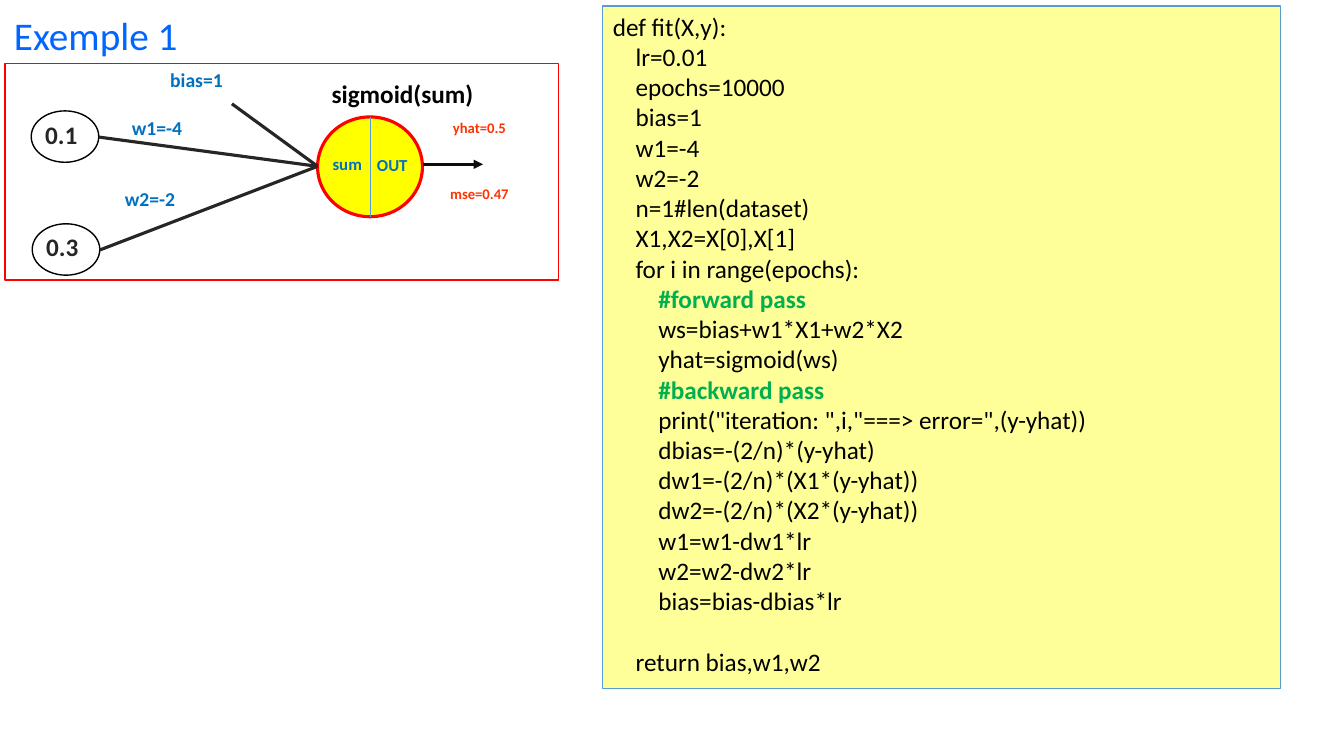
from lxml import etree
from pptx import Presentation
from pptx.dml.color import RGBColor
from pptx.enum import shapes, text
from pptx.oxml import ns
from pptx.util import Inches, Pt

FONT = "Calibri"
BLACK = RGBColor(0x00, 0x00, 0x00)
DARK = RGBColor(0x26, 0x26, 0x26)
ARROW = RGBColor(0x0D, 0x0D, 0x0D)
RED = RGBColor(0xFF, 0x00, 0x00)
ORANGE = RGBColor(0xFF, 0x33, 0x00)
YELLOW = RGBColor(0xFF, 0xFF, 0x00)
PALE_YELLOW = RGBColor(0xFF, 0xFF, 0x99)
TITLE_BLUE = RGBColor(0x00, 0x66, 0xFF)
LABEL_BLUE = RGBColor(0x00, 0x70, 0xC0)
LINE_BLUE = RGBColor(0x5B, 0x9B, 0xD5)
GREEN = RGBColor(0x00, 0xB0, 0x50)

CODE = """def fit(X,y):
    lr=0.01
    epochs=10000
    bias=1
    w1=-4
    w2=-2
    n=1#len(dataset)
    X1,X2=X[0],X[1]
    for i in range(epochs):
        #forward pass
        ws=bias+w1*X1+w2*X2
        yhat=sigmoid(ws)
        #backward pass
        print("iteration: ",i,"===> error=",(y-yhat))
        dbias=-(2/n)*(y-yhat)
        dw1=-(2/n)*(X1*(y-yhat))
        dw2=-(2/n)*(X2*(y-yhat))
        w1=w1-dw1*lr
        w2=w2-dw2*lr
        bias=bias-dbias*lr

    return bias,w1,w2"""


def set_font(font, size, color, bold=False):
    font.name, font.size, font.bold = FONT, Pt(size), bold
    font.color.rgb = color


def add_label(slide, box, words, size, color, bold=True, centered=False):
    tf = slide.shapes.add_textbox(*map(Inches, box)).text_frame
    tf.word_wrap = True
    p = tf.paragraphs[0]
    p.text = words
    p.alignment = text.PP_ALIGN.CENTER if centered else text.PP_ALIGN.LEFT
    set_font(p.font, size, color, bold)


def add_outline(slide, kind, box, color, width, fill=None):
    sp = slide.shapes.add_shape(kind, *map(Inches, box))
    sp.shadow.inherit = False
    if fill is None:
        sp.fill.background()
    else:
        sp.fill.solid()
        sp.fill.fore_color.rgb = fill
    sp.line.color.rgb = color
    sp.line.width = Pt(width)
    return sp


def add_line(slide, start, end, color, width, arrow=False):
    line = slide.shapes.add_connector(
        shapes.MSO_CONNECTOR.STRAIGHT, *map(Inches, (*start, *end)))
    line.line.color.rgb = color
    line.line.width = Pt(width)
    if arrow:
        ln = line.line._get_or_add_ln()
        etree.SubElement(ln, ns.qn("a:tailEnd"), type="triangle")
    etree.SubElement(line._element.spPr, ns.qn("a:effectLst"))


def add_network(slide, left, top, width, height):
    """Framed neuron with its two inputs, bias, weights and outputs."""
    def at(x, y, *size):
        return (left + x, top + y, *size)

    oval = shapes.MSO_SHAPE.OVAL
    hub = at(3.1, 1.02)
    add_outline(slide, oval, at(3.1, 0.53, 1.04, 0.99), RED, 2.25, YELLOW)
    add_line(slide, at(3.62, 0.53), at(3.62, 1.52), LINE_BLUE, 0.5)
    add_line(slide, at(4.15, 1), at(4.74, 1), ARROW, 2.25, arrow=True)
    add_line(slide, at(2.25, 0.4), hub, DARK, 2.25)

    for value, x, y in (("0.1", 0.26, 0.47), ("0.3", 0.27, 1.59)):
        add_outline(slide, oval, at(x, y, 0.67, 0.51), BLACK, 1)
        add_label(slide, at(x + 0.04, y + 0.03, 0.75, 0.4), value, 18, DARK)
        add_line(slide, at(x + 0.67, y + 0.26), hub, DARK, 2.25)

    add_outline(slide, shapes.MSO_SHAPE.RECTANGLE,
                (left, top, width, height), RED, 1)
    add_label(slide, at(3.14, 0.1, 2.19, 0.4), "sigmoid(sum)", 18, BLACK)
    for words, x, y in (("sum", 3.15, 0.85), ("OUT", 3.59, 0.86)):
        add_label(slide, at(x, y, 0.59, 0.3), words, 12, LABEL_BLUE)
    for words, x, y in (("bias=1", 1.54, -0.01), ("w1=-4", 1.16, 0.47),
                        ("w2=-2", 1.09, 1.18)):
        add_label(slide, at(x, y, 1.23, 0.34), words, 14, LABEL_BLUE)
    for words, y in (("yhat=0.5", 0.5), ("mse=0.47", 1.15)):
        add_label(slide, at(4.08, y, 1.25, 0.28), words, 10.5, ORANGE,
                  centered=True)


def add_code(slide, *box):
    """Code panel whose whole-line comments are bold green."""
    sp = add_outline(slide, shapes.MSO_SHAPE.RECTANGLE, box, LINE_BLUE, 0.75,
                     PALE_YELLOW)
    tf = sp.text_frame
    tf.word_wrap = True
    tf.vertical_anchor = text.MSO_ANCHOR.TOP
    tf.text = CODE
    for p in tf.paragraphs:
        p.alignment = text.PP_ALIGN.LEFT
        comment = p.text.lstrip().startswith("#")
        set_font(p.font, 18, GREEN if comment else BLACK, comment)


def main():
    prs = Presentation()
    prs.slide_width, prs.slide_height = Inches(13.33), Inches(7.5)
    slide = prs.slides.add_slide(prs.slide_layouts[6])
    add_label(slide, (0.04, 0.06, 2.78, 0.57), "Exemple 1", 28, TITLE_BLUE,
              bold=False)
    add_network(slide, 0.05, 0.63, 5.49, 2.15)
    add_code(slide, 5.98, 0.06, 6.72, 6.77)
    prs.save("out.pptx")


if __name__ == "__main__":
    main()
